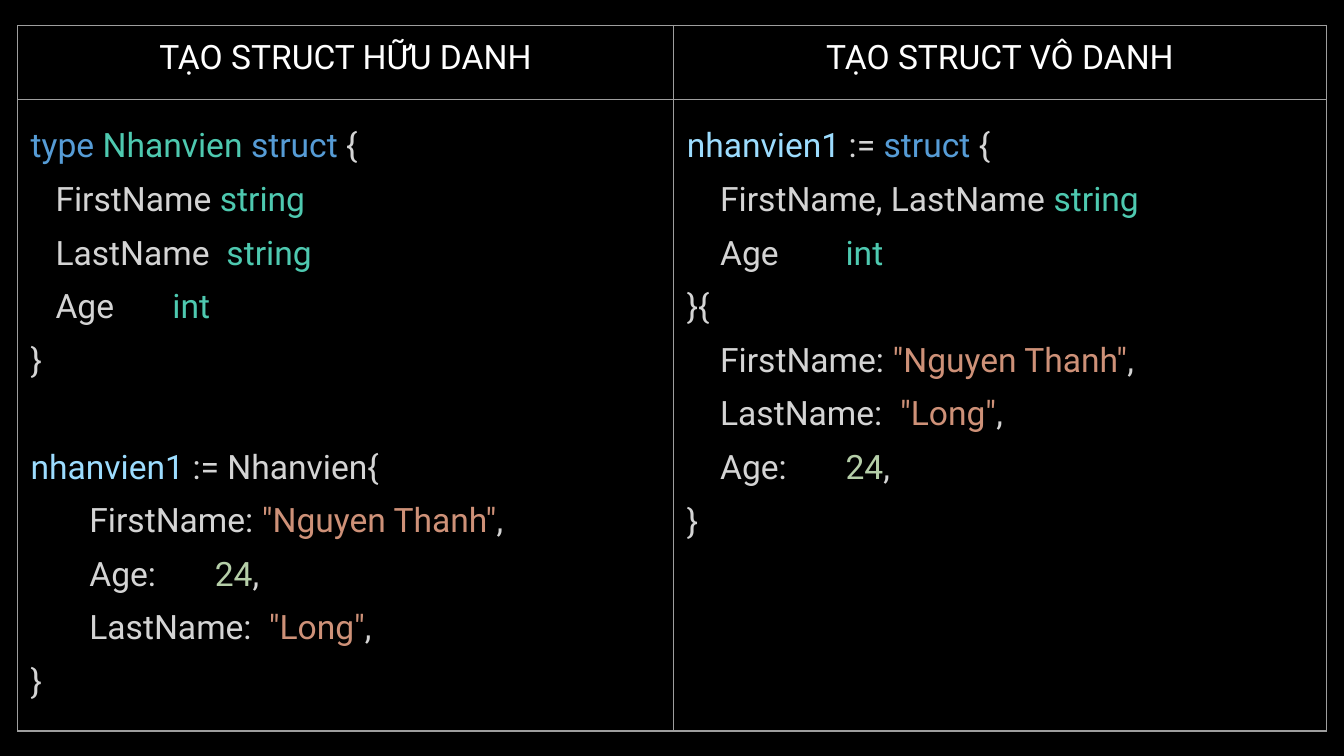
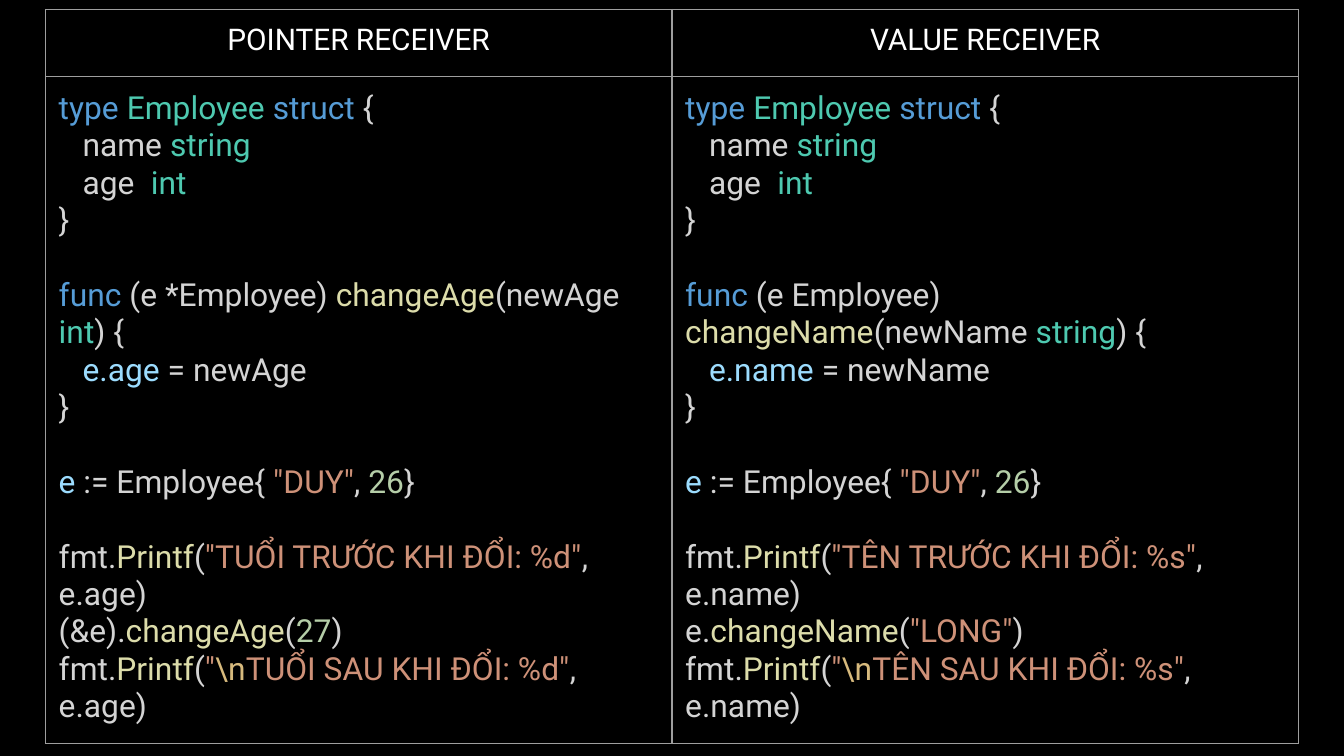
import dataclasses
import functools

import lxml.etree
import pptx
import pptx.dml.color
import pptx.enum.text
import pptx.oxml.ns
import pptx.util

Cm = pptx.util.Cm
Pt = pptx.util.Pt
qn = pptx.oxml.ns.qn


@dataclasses.dataclass(frozen=True)
class Theme:
    font: str = "Roboto"
    background: str = "000000"
    border: str = "9E9E9E"
    heading: str = "FFFFFF"
    plain: str = "D4D4D4"
    keyword: str = "569CD6"
    type_name: str = "4EC9B0"
    variable: str = "9CDCFE"
    string: str = "CE9178"
    escape: str = "D7BA7D"
    number: str = "B5CEA8"
    function: str = "DCDCAA"
    border_width: float = 0.75
    cell_margin: float = 0.25


@dataclasses.dataclass(frozen=True)
class Style:
    heading_size: float
    code_size: float
    line_spacing: float
    section_gap: float


THEME = Theme()
STRUCT_STYLE = Style(heading_size=18, code_size=18, line_spacing=1.36, section_gap=28.5)
RECEIVER_STYLE = Style(heading_size=16, code_size=17, line_spacing=1, section_gap=20)


@dataclasses.dataclass(frozen=True)
class Token:
    role: str
    text: str


@dataclasses.dataclass(frozen=True)
class Line:
    tokens: tuple
    stops: tuple = ()
    new_section: bool = False


plain = functools.partial(Token, "plain")
keyword = functools.partial(Token, "keyword")
type_name = functools.partial(Token, "type_name")
variable = functools.partial(Token, "variable")
string = functools.partial(Token, "string")
escape = functools.partial(Token, "escape")
number = functools.partial(Token, "number")
function = functools.partial(Token, "function")


def line(*tokens, stops=(), new_section=False):
    return Line(tokens, stops, new_section)


def rgb(value):
    return pptx.dml.color.RGBColor.from_string(value)


def write_line(paragraph, content, size):
    if content.stops:
        properties = paragraph._p.get_or_add_pPr()
        tab_list = lxml.etree.SubElement(properties, qn("a:tabLst"))
        for stop in content.stops:
            lxml.etree.SubElement(tab_list, qn("a:tab"), pos=str(Cm(stop)), algn="l")
    paragraph.font.name = THEME.font
    paragraph.font.size = Pt(size)
    for token in content.tokens:
        run = paragraph.add_run()
        run.text = token.text
        run.font.color.rgb = rgb(getattr(THEME, token.role))


def format_cell(cell):
    properties = cell._tc.get_or_add_tcPr()
    for side in ("a:lnL", "a:lnR", "a:lnT", "a:lnB"):
        border = lxml.etree.SubElement(properties, qn(side), w=str(Pt(THEME.border_width)))
        fill = lxml.etree.SubElement(border, qn("a:solidFill"))
        lxml.etree.SubElement(fill, qn("a:srgbClr"), val=THEME.border)
    cell.fill.solid()
    cell.fill.fore_color.rgb = rgb(THEME.background)
    margin = Cm(THEME.cell_margin)
    cell.margin_left = cell.margin_right = margin
    cell.margin_top = cell.margin_bottom = margin
    cell.vertical_anchor = pptx.enum.text.MSO_ANCHOR.TOP


def fill_heading(cell, heading, style):
    format_cell(cell)
    paragraph = cell.text_frame.paragraphs[0]
    paragraph.alignment = pptx.enum.text.PP_ALIGN.CENTER
    write_line(paragraph, line(Token("heading", heading)), style.heading_size)


def fill_code(cell, code, style):
    format_cell(cell)
    frame = cell.text_frame
    for index, content in enumerate(code):
        paragraph = frame.add_paragraph() if index else frame.paragraphs[0]
        write_line(paragraph, content, style.code_size)
        paragraph.line_spacing = style.line_spacing
        if content.new_section:
            paragraph.space_before = Pt(style.section_gap)


def add_comparison(deck, left, top, widths, heights, columns, style):
    slide = deck.slides.add_slide(deck.slide_layouts[6])
    slide.background.fill.solid()
    slide.background.fill.fore_color.rgb = rgb(THEME.background)
    table = slide.shapes.add_table(
        len(heights), len(widths), Cm(left), Cm(top), Cm(sum(widths)), Cm(sum(heights))
    ).table
    table.first_row = table.horz_banding = False
    for row, height in zip(table.rows, heights):
        row.height = Cm(height)
    for index, (width, (heading, code)) in enumerate(zip(widths, columns)):
        table.columns[index].width = Cm(width)
        fill_heading(table.cell(0, index), heading, style)
        fill_code(table.cell(1, index), code, style)


def field(name, value, *stops):
    return line(plain(name), value, stops=stops)


def entry(name, value, *stops):
    return line(plain(name), value, plain(","), stops=stops)


def named_struct():
    return [
        line(keyword("type "), type_name("Nhanvien "), keyword("struct"), plain(" {")),
        field("\tFirstName ", type_name("string"), 0.47),
        field("\tLastName\t", type_name("string"), 0.47, 3.7),
        field("\tAge\t", type_name("int"), 0.47, 2.68),
        line(plain("}")),
        line(variable("nhanvien1"), plain(" := Nhanvien{"), new_section=True),
        entry("\tFirstName: ", string('"Nguyen Thanh"'), 1.11),
        entry("\tAge:\t", number("24"), 1.11, 3.48),
        entry("\tLastName:\t", string('"Long"'), 1.11, 4.5),
        line(plain("}")),
    ]


def anonymous_struct():
    return [
        line(variable("nhanvien1"), plain(" := "), keyword("struct"), plain(" {")),
        field("\tFirstName, LastName ", type_name("string"), 0.63),
        field("\tAge\t", type_name("int"), 0.63, 3),
        line(plain("}{")),
        entry("\tFirstName: ", string('"Nguyen Thanh"'), 0.63),
        entry("\tLastName:\t", string('"Long"'), 0.63, 4.03),
        entry("\tAge:\t", number("24"), 0.63, 3),
        line(plain("}")),
    ]


def printf(opening, message, attribute, new_section=False):
    return line(
        plain("fmt."), function("Printf"), plain("("), *opening, string(message),
        plain(f", e.{attribute})"), new_section=new_section,
    )


def receiver_code(receiver, method, parameter, kind, attribute, caller, argument, label, verb):
    return [
        line(keyword("type "), type_name("Employee "), keyword("struct"), plain(" {")),
        field("\tname ", type_name("string"), 0.45),
        field("\tage\t", type_name("int"), 0.45, 1.74),
        line(plain("}")),
        line(
            keyword("func"), plain(f" (e {receiver}) "), function(method),
            plain(f"({parameter} "), type_name(kind), plain(") {"), new_section=True,
        ),
        line(plain("\t"), variable(f"e.{attribute}"), plain(f" = {parameter}"), stops=(0.45,)),
        line(plain("}")),
        line(
            variable("e"), plain(" := Employee{ "), string('"DUY"'), plain(", "),
            number("26"), plain("}"), new_section=True,
        ),
        printf((), f'"{label} TRƯỚC KHI ĐỔI: {verb}"', attribute, new_section=True),
        line(plain(f"{caller}."), function(method), plain("("), argument, plain(")")),
        printf((string('"'), escape("\\n")), f'{label} SAU KHI ĐỔI: {verb}"', attribute),
    ]


def main():
    deck = pptx.Presentation()
    deck.slide_width = Cm(25.4)
    deck.slide_height = Cm(14.29)
    add_comparison(
        deck, 0.33, 0.48, (12.4, 12.34), (1.4, 11.94),
        (
            ("TẠO STRUCT HỮU DANH", named_struct()),
            ("TẠO STRUCT VÔ DANH", anonymous_struct()),
        ),
        STRUCT_STYLE,
    )
    pointer_code = receiver_code(
        "*Employee", "changeAge", "newAge", "int", "age",
        "(&e)", number("27"), "TUỔI", "%d",
    )
    value_code = receiver_code(
        "Employee", "changeName", "newName", "string", "name",
        "e", string('"LONG"'), "TÊN", "%s",
    )
    add_comparison(
        deck, 0.86, 0.18, (11.84, 11.84), (1.27, 12.6),
        (("POINTER RECEIVER", pointer_code), ("VALUE RECEIVER", value_code)),
        RECEIVER_STYLE,
    )
    deck.save("out.pptx")


if __name__ == "__main__":
    main()
